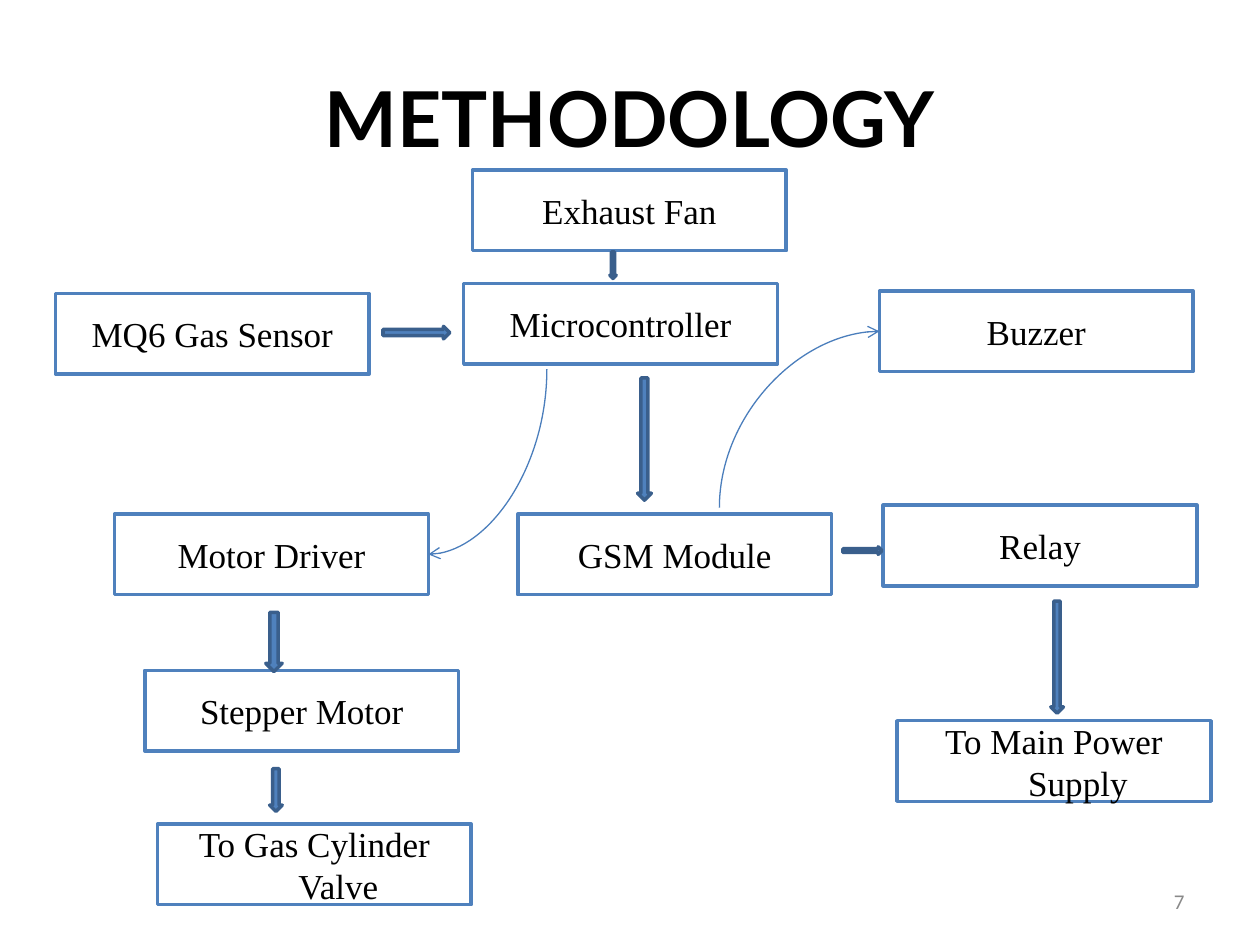
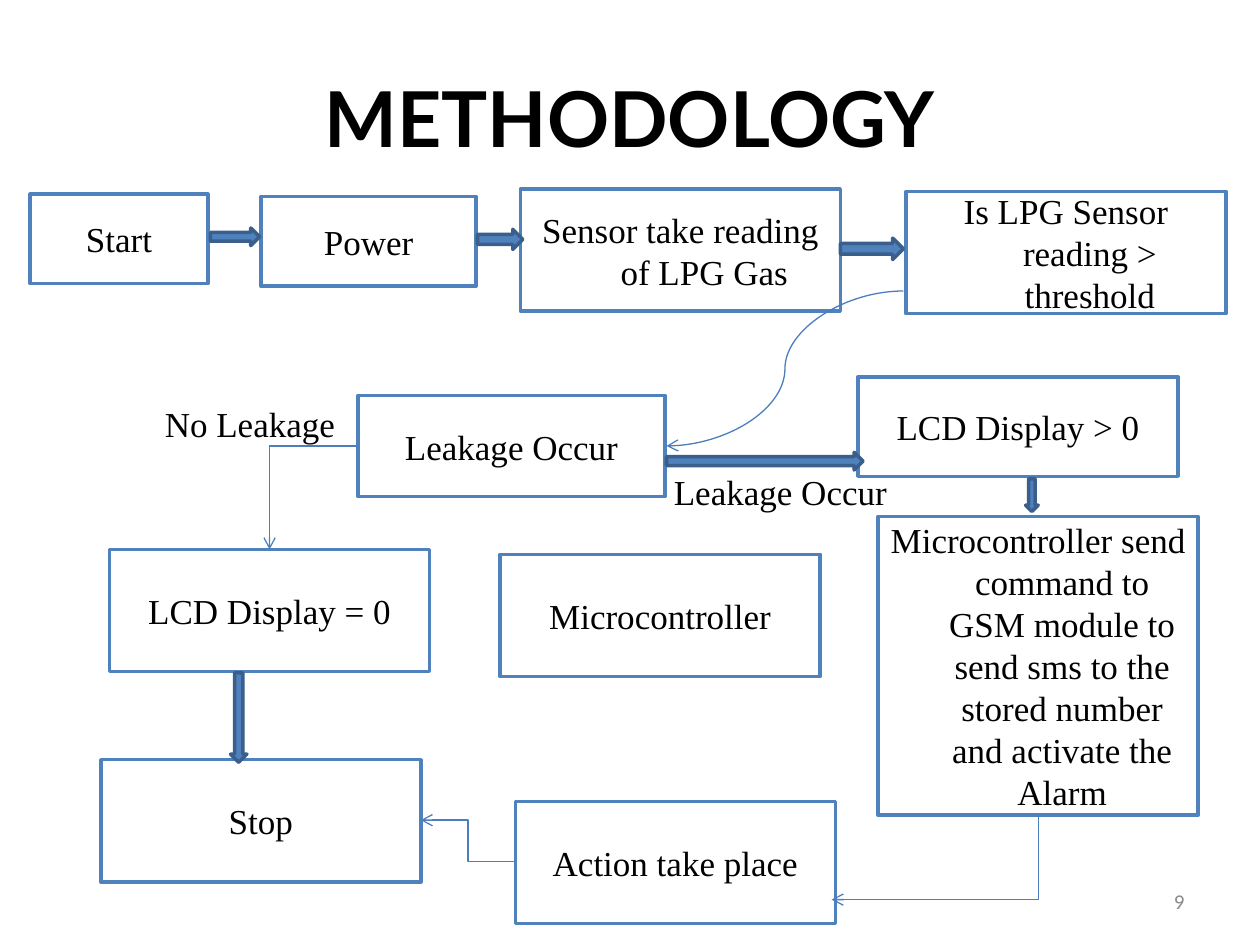
"""Builds two methodology flow charts on a grid of 100 columns by 75 rows."""
from lxml import etree
from pptx import Presentation, util as u
from pptx.dml.color import RGBColor
from pptx.enum import shapes, text
from pptx.oxml import ns

SHAPE = shapes.MSO_SHAPE
LINK = shapes.MSO_CONNECTOR
ALIGN = text.PP_ALIGN
BLUE, EDGE, WIRE = "4F81BD", "3A5F8C", "4B7EBC"
WHITE, BLACK, GREY = "FFFFFF", "000000", "898989"
SERIF = "Times New Roman"
COLS, ROWS = 100, 75


def tint(code):
    return RGBColor.from_string(code)


class Chart:
    """Holds the style and the current slide, and draws each kind of element."""

    def __init__(self):
        self.deck = Presentation()
        self.deck.slide_width = u.Inches(10)
        self.deck.slide_height = u.Inches(7.5)

    def grid(self, col, row):
        wide, high = self.deck.slide_width, self.deck.slide_height
        return int(col * wide / COLS), int(row * high / ROWS)

    def page(self, number):
        self.slide = self.deck.slides.add_slide(self.deck.slide_layouts[6])
        self.label("METHODOLOGY", 5, 3, 90, 12.5, 44, "Lato", True, ALIGN.CENTER)
        self.label(number, 71.7, 69.5, 23.3, 4, 12, "Calibri", False, ALIGN.RIGHT, GREY)

    def letter(self, frame, words, size=20, font=SERIF, bold=False,
               align=ALIGN.LEFT, color=BLACK):
        frame.word_wrap = True
        frame.vertical_anchor = text.MSO_ANCHOR.MIDDLE
        para = frame.paragraphs[0]
        para.alignment = align
        run = para.add_run()
        run.text = words
        run.font.size, run.font.name, run.font.bold = u.Pt(size), font, bold
        run.font.color.rgb = tint(color)
        return para

    def label(self, words, x, y, w, h, *style):
        area = self.slide.shapes.add_textbox(*self.grid(x, y), *self.grid(w, h))
        self.letter(area.text_frame, words, *style)

    def solid(self, kind, x, y, w, h, fill, line):
        form = self.slide.shapes.add_shape(kind, *self.grid(x, y), *self.grid(w, h))
        form.shadow.inherit = False
        form.fill.solid()
        form.fill.fore_color.rgb = tint(fill)
        form.line.color.rgb = tint(line)
        form.line.width = u.Pt(2)
        return form

    def box(self, words, x, y, w=25.4, h=9.7):
        form = self.solid(SHAPE.RECTANGLE, x, y, w, h, WHITE, BLUE)
        para = self.letter(form.text_frame, words, align=ALIGN.CENTER)
        para.space_before = u.Pt(4)
        hang = u.Inches(0.38)
        props = para._p.get_or_add_pPr()
        props.set("marL", str(hang))
        props.set("indent", str(-hang))

    def right(self, x, y, w, h):
        self.solid(SHAPE.RIGHT_ARROW, x, y, w, h, BLUE, EDGE)

    def down(self, x, y, w, h):
        self.solid(SHAPE.DOWN_ARROW, x, y, w, h, BLUE, EDGE)

    def link(self, kind, start, end, preset=None, steep=False):
        (ax, ay), (bx, by) = start, end
        if steep:
            mx, my = (ax + bx) / 2, (ay + by) / 2
            dx, dy = (bx - ax) / 2, (by - ay) / 2
            ax, ay, bx, by = mx - dy, my + dx, mx + dy, my - dx
        wire = self.slide.shapes.add_connector(
            kind, *self.grid(ax, ay), *self.grid(bx, by))
        wire.line.color.rgb = tint(WIRE)
        wire.line.width = u.Pt(0.75)
        props = wire._element.spPr
        if steep:
            props.find(ns.qn("a:xfrm")).set("rot", str(90 * 60000))
        if preset:
            props.find(ns.qn("a:prstGeom")).set("prst", preset)
        tail = etree.SubElement(props.find(ns.qn("a:ln")), ns.qn("a:tailEnd"))
        tail.set("type", "arrow")
        etree.SubElement(props, ns.qn("a:effectLst"))


def blocks(art):
    art.page("7")
    for words, x, y in (
            ("MQ6 Gas Sensor", 4.4, 23.3), ("Microcontroller", 36.8, 22.5),
            ("Motor Driver", 9.1, 40.8), ("GSM Module", 41.1, 40.8),
            ("Stepper Motor", 11.5, 53.2), ("To Gas Cylinder Valve", 12.5, 65.4),
            ("Buzzer", 69.8, 23.1), ("Relay", 70.1, 40.1),
            ("To Main Power Supply", 71.2, 57.2), ("Exhaust Fan", 37.5, 13.5)):
        art.box(words, x, y, 24.9, 6.4)
    for spot in ((30.4, 25.9, 5.3, 1), (66.9, 43.4, 3.1, 0.6)):
        art.right(*spot)
    for spot in ((50.6, 30, 1.1, 9.7), (21.4, 61, 1, 3.4), (21.1, 48.6, 1.3, 4.7),
                 (83.4, 47.7, 1, 8.9), (48.4, 20, 0.5, 2.1)):
        art.down(*spot)
    for start, end in (((43.4, 29.3), (34, 44)), ((57.1, 40.3), (69.8, 26.3))):
        art.link(LINK.CURVE, start, end, "curvedConnector2", True)


def flow(art):
    art.page("9")
    art.box("Start", 2.4, 15.4, 14.1, 7.1)
    art.box("Power", 20.7, 15.6, 17.1, 7.1)
    art.box("Sensor take reading of LPG Gas", 41.3, 15)
    art.box("Is LPG Sensor reading > threshold", 71.9, 15.2)
    art.box("Leakage Occur", 28.4, 31.4, 24.4, 8)
    art.box("LCD Display = 0", 8.7, 43.6)
    art.box("Stop", 8, 60.3)
    art.box("LCD Display > 0", 68.1, 29.9, h=7.9)
    art.box("Microcontroller", 39.7, 44)
    art.box("Microcontroller send command to GSM module to send sms "
            "to the stored number and activate the Alarm", 69.7, 41, h=23.7)
    art.box("Action take place", 40.9, 63.6)
    for spot in ((16.7, 18.1, 3.9, 1.4), (37.9, 18.2, 3.6, 1.6),
                 (66.7, 18.9, 5, 1.7), (52.9, 35.9, 15.6, 1.4)):
        art.right(*spot)
    for spot in ((81.4, 38, 1, 2.6), (18.3, 53.4, 1.3, 7.1)):
        art.down(*spot)
    art.link(LINK.CURVE, (71.7, 23.1), (52.9, 35.4))
    art.link(LINK.ELBOW, (28.4, 35.4), (21.4, 43.6), "bentConnector2")
    art.link(LINK.ELBOW, (82.4, 64.7), (66, 71.4), "bentConnector2", True)
    art.link(LINK.ELBOW, (40.9, 68.4), (33.4, 65.1))
    art.label("No Leakage", 12.1, 31.4, 16.6, 4.4)
    art.label("Leakage Occur", 52.5, 36.8, 19.3, 4.4)


def main():
    art = Chart()
    blocks(art)
    flow(art)
    art.deck.save("out.pptx")


if __name__ == "__main__":
    main()
